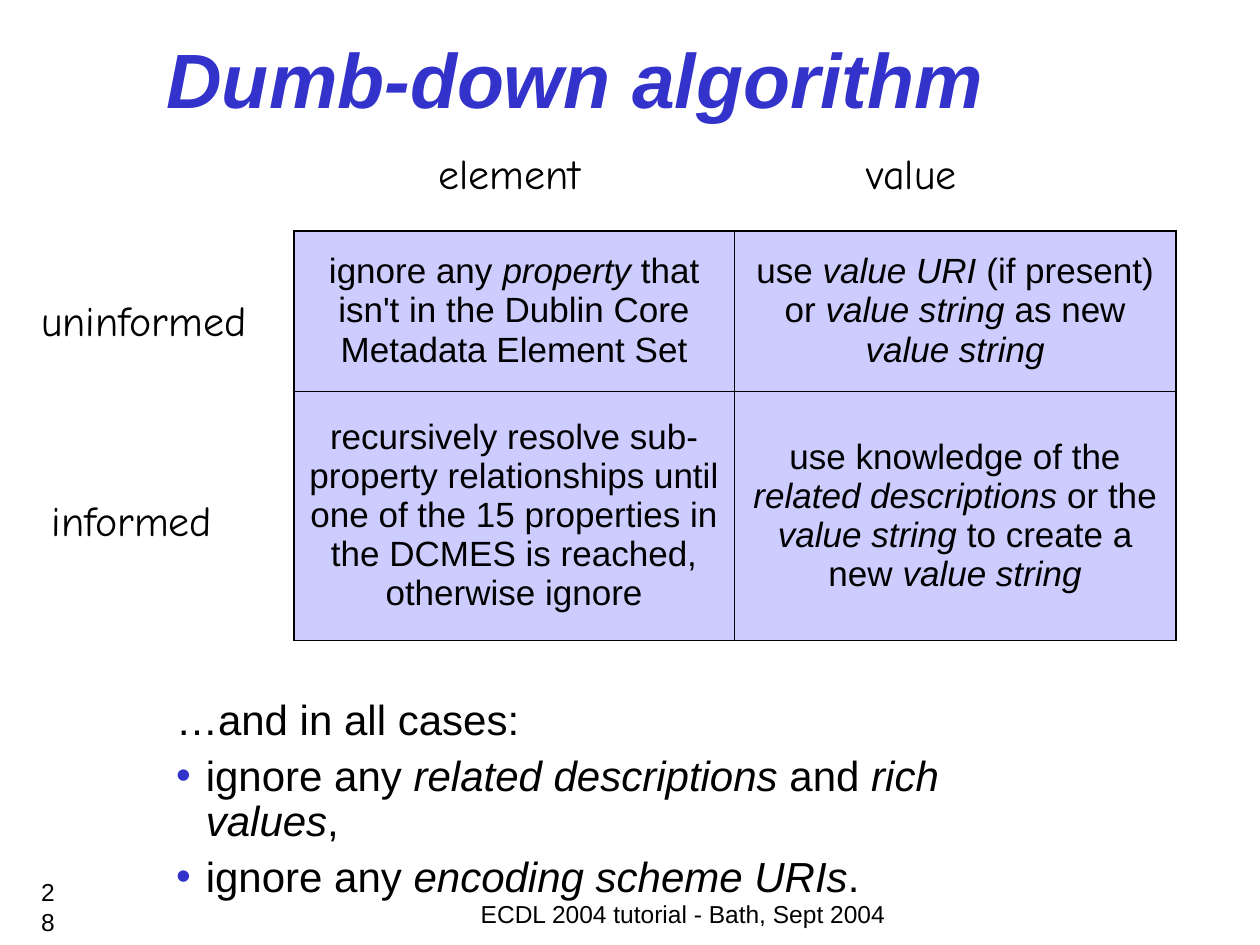
from lxml.etree import SubElement as Sub
from pptx import Presentation
from pptx.dml.color import RGBColor as RGB
from pptx.enum.text import MSO_ANCHOR as Anchor, PP_ALIGN as Align
from pptx.oxml.ns import qn
from pptx.util import Cm, Pt

BLUE = RGB(0x33, 0x33, 0xCC)
PALE = RGB(0xCC, 0xCC, 0xFF)
BLACK = RGB(0, 0, 0)
SANS, COMIC = "Arial", "Comic Neue"
THIN, THICK = Pt(0.45), Pt(1.08)

# Asterisks enclose italic words.
CELLS = [
    ["ignore any *property* that isn't in the Dublin Core Metadata Element Set",
     "use *value URI* (if present) or *value string* as new *value string*"],
    ["recursively resolve sub-property relationships until one of the 15 "
     "properties in the DCMES is reached, otherwise ignore",
     "use knowledge of the *related descriptions* or the *value string* "
     "to create a new *value string*"],
]
LABELS = [("element", 8.59, 2.97, 3.38), ("value", 17.22, 2.97, 2.34),
          ("uninformed", 0.58, 5.92, 4.67), ("informed", 0.79, 9.96, 3.76)]
CASES = ["ignore any *related descriptions* and *rich values*,",
         "ignore any *encoding scheme URIs*."]


class Deck:
    def __init__(self):
        self.show = Presentation()
        self.show.slide_width, self.show.slide_height = Cm(25.4), Cm(19.05)
        self.slide = self.show.slides.add_slide(self.show.slide_layouts[5])

    def runs(self, para, text, size, font=SANS, align=Align.LEFT):
        """Add the text run by run, with the parts between asterisks in italic."""
        para.alignment = align
        for i, part in enumerate(text.split("*")):
            if part:
                run = para.add_run()
                run.text = part
                run.font.name, run.font.size = font, Pt(size)
                run.font.italic = i % 2 == 1
                run.font.color.rgb = BLACK

    def title(self, text, box):
        head = self.slide.shapes.title
        head.left, head.top, head.width, head.height = map(Cm, box)
        head.text_frame.vertical_anchor = Anchor.MIDDLE
        para = head.text_frame.paragraphs[0]
        self.runs(para, f"*{text}*", 44)
        font = para.runs[0].font
        font.bold, font.color.rgb = True, BLUE

    def text(self, text, box, size, wrap=True, anchor=Anchor.TOP,
             space=None, **style):
        frame = self.slide.shapes.add_textbox(*map(Cm, box)).text_frame
        frame.word_wrap, frame.vertical_anchor = wrap, anchor
        para = frame.paragraphs[0]
        para.line_spacing = space
        self.runs(para, text, size, **style)
        return frame

    def bullet(self, frame, text, size):
        para = frame.add_paragraph()
        para.line_spacing, para.space_before = 0.9, Pt(6)
        props = para._p.get_or_add_pPr()
        props.set("marL", str(Cm(0.6)))
        props.set("indent", str(-Cm(0.6)))
        tint = Sub(props, qn("a:buClr"))
        Sub(tint, qn("a:srgbClr"), val=str(BLUE))
        Sub(props, qn("a:buFont"), typeface=SANS)
        Sub(props, qn("a:buChar"), char="•")
        self.runs(para, text, size)

    def edge(self, cell, side, width):
        line = Sub(cell._tc.get_or_add_tcPr(), qn(f"a:ln{side}"), w=str(width))
        fill = Sub(line, qn("a:solidFill"))
        Sub(fill, qn("a:srgbClr"), val=str(BLACK))

    def table(self, rows, box, tall):
        last, end = len(rows) - 1, len(rows[0]) - 1
        grid = self.slide.shapes.add_table(
            len(rows), len(rows[0]), *map(Cm, box)).table
        for r, row in enumerate(rows):
            grid.rows[r].height = Cm(tall[r])
            for c, text in enumerate(row):
                cell = grid.cell(r, c)
                outer = {"L": c == 0, "R": c == end, "T": r == 0, "B": r == last}
                for side, rim in outer.items():
                    self.edge(cell, side, THICK if rim else THIN)
                cell.fill.solid()
                cell.fill.fore_color.rgb = PALE
                cell.vertical_anchor = Anchor.MIDDLE
                self.runs(cell.text_frame.paragraphs[0], text, 20,
                          align=Align.CENTER)


def main():
    deck = Deck()
    deck.title("Dumb-down algorithm", (3.1, 0.51, 19.74, 2.11))
    deck.table(CELLS, (5.92, 4.65, 17.78, 8.26), (3.23, 5.03))
    for text, left, top, width in LABELS:
        deck.text(text, (left, top, width, 1.17), 24, wrap=False, space=0.9,
                  font=COMIC)
    frame = deck.text("…and in all cases:", (3.3, 13.97, 18.52, 3.43), 24,
                      space=0.9)
    for text in CASES:
        deck.bullet(frame, text, 24)
    deck.text("ECDL 2004 tutorial - Bath, Sept 2004", (8.69, 18.21, 10.16, 0.43),
              14, anchor=Anchor.MIDDLE, align=Align.CENTER)
    deck.text("28", (0.58, 17.86, 0.64, 0.84), 14, anchor=Anchor.MIDDLE,
              align=Align.RIGHT)
    deck.show.save("out.pptx")


if __name__ == "__main__":
    main()
